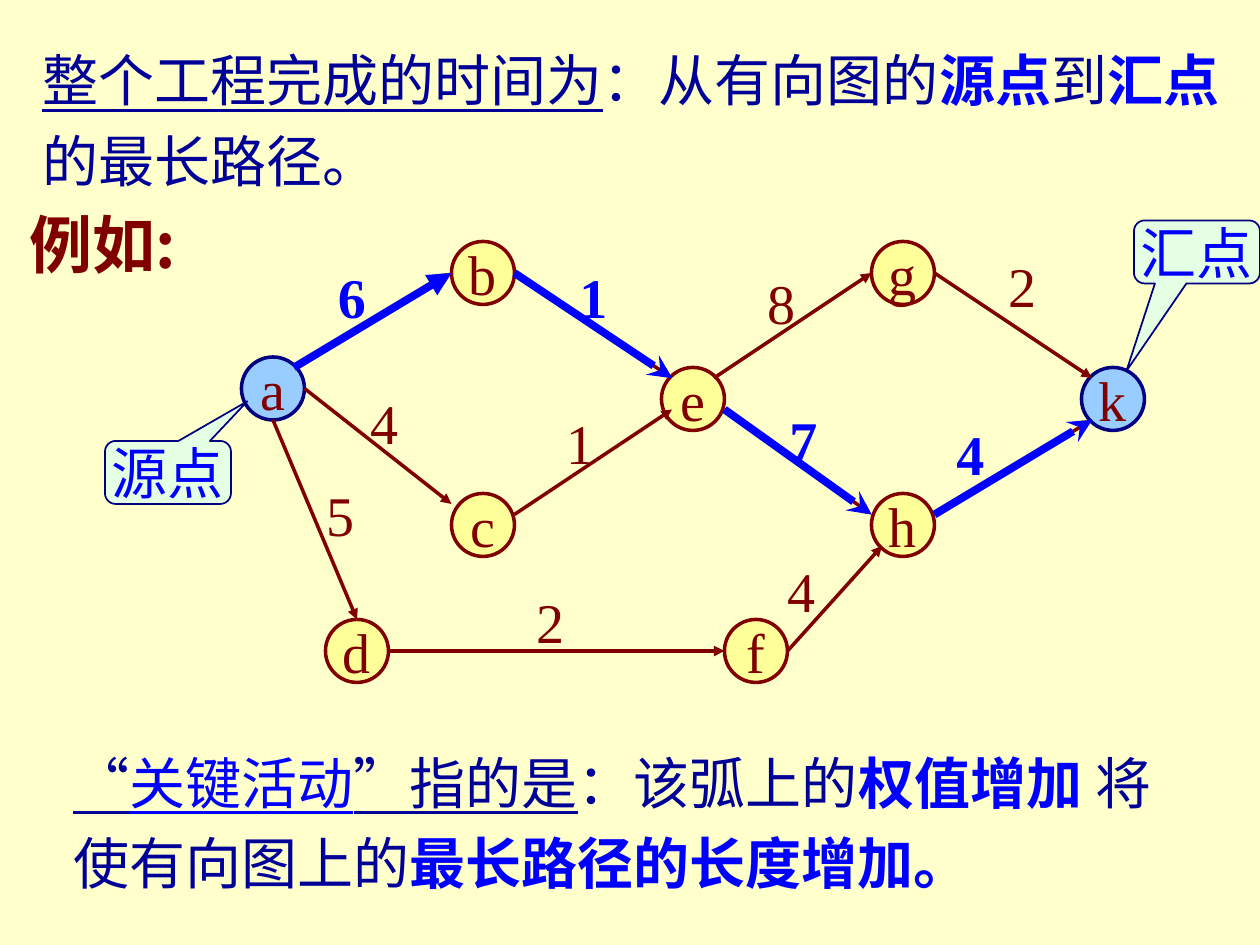
from dataclasses import dataclass
from typing import Any

import pptx
import pptx.chart.data
import pptx.dml.color
import pptx.enum.shapes
import pptx.enum.text
import pptx.oxml
import pptx.oxml.ns
import pptx.util
from lxml import etree

# Palette and fonts
MAROON, NAVY, INK, BLUE = "800000", "000080", "000099", "0000FF"
YELLOW, SKY, MINT, CREAM = "FFFF99", "99CCFF", "CCFFFF", "FFFFCC"
LATIN, HAN = "Times New Roman", "Noto Sans CJK SC"

# The slide is a grid of 120 columns and 90 rows
SLIDE_WIDTH, SLIDE_HEIGHT = pptx.util.Inches(10), pptx.util.Inches(7.5)
COLUMNS, ROWS = 120, 90
NODE_SIZE = 6

SHAPE = pptx.enum.shapes.MSO_SHAPE
ANCHOR = pptx.enum.text.MSO_ANCHOR
ALIGN = pptx.enum.text.PP_ALIGN
AUTO_SIZE = pptx.enum.text.MSO_AUTO_SIZE


@dataclass(frozen=True)
class Phrase:
    text: str
    color: str = INK
    bold: bool = False
    underline: bool = False
    size: int = 32
    font: str = LATIN


@dataclass(frozen=True)
class Event:
    name: str
    column: float
    row: float
    fill: str = YELLOW
    outline: str = MAROON


@dataclass(frozen=True)
class Activity:
    start: tuple[float, float]
    end: tuple[float, float]
    weight: str
    label: tuple[float, float]
    critical_head: str = ""


@dataclass(frozen=True)
class Callout:
    text: str
    column: float
    row: float
    pointer: tuple[float, float]


EVENTS = [
    Event("a", 23, 34, SKY, NAVY), Event("b", 43, 23), Event("c", 43, 47),
    Event("d", 31, 59), Event("e", 63, 35), Event("f", 69, 59),
    Event("g", 83, 23), Event("h", 83, 47), Event("k", 103, 35, SKY, NAVY),
]
ACTIVITIES = [
    Activity((28, 35), (43, 26), "6", (31, 24.4), "triangle"),
    Activity((29, 37), (43, 48), "4", (34.1, 36.4)),
    Activity((49, 49), (64, 39), "1", (52.8, 38.3)),
    Activity((49, 26), (64, 36), "1", (54, 24.4), "stealth"),
    Activity((68, 36), (83, 26), "8", (71.9, 25)),
    Activity((89, 26), (104, 36), "2", (94.9, 23.4)),
    Activity((89, 49), (104, 40), "4", (89.9, 39.4), "stealth"),
    Activity((69, 39), (83, 49), "7", (74, 38), "stealth"),
    Activity((26, 40), (34, 59), "5", (29.9, 45.2)),
    Activity((37, 62), (69, 62), "2", (49.9, 55.4)),
    Activity((75, 62), (84, 52), "4", (73.8, 52.4)),
]
CALLOUTS = [
    Callout("源点", 10, 42, (0.63, -1.13)),
    Callout("汇点", 108, 21, (-0.56, 1.89)),
]
DEFINITION = [
    Phrase("整个工程完成的时间为", underline=True), Phrase("：从有向图的"),
    Phrase("源点", BLUE, True), Phrase("到"), Phrase("汇点", BLUE, True),
    Phrase("的最长路径。"),
]
KEY_ACTIVITY = [
    Phrase("“", underline=True), Phrase("关键活动", BLUE, underline=True),
    Phrase("”指的是", underline=True), Phrase("：该弧上的"),
    Phrase("权值增加 ", BLUE, True), Phrase("将使有向图上的"),
    Phrase("最长路径的长度增加。", BLUE, True),
]


def rgb(color: str) -> pptx.dml.color.RGBColor:
    return pptx.dml.color.RGBColor.from_string(color)


def x(column: float) -> int:
    return round(SLIDE_WIDTH * column / COLUMNS)


def y(row: float) -> int:
    return round(SLIDE_HEIGHT * row / ROWS)


def area(column: float, row: float, width: float, height: float) -> tuple[int, ...]:
    return x(column), y(row), x(width), y(height)


def apply(target: Any, values: dict[str, Any]) -> None:
    for attribute, value in values.items():
        setattr(target, attribute, value)


def write(shape: Any, phrases: list[Phrase], wrap: bool = False,
          align: Any = ALIGN.LEFT, anchor: Any = ANCHOR.TOP, spacing: float = 1.0) -> None:
    apply(shape.text_frame, {
        "word_wrap": wrap, "auto_size": AUTO_SIZE.NONE, "vertical_anchor": anchor,
    })
    paragraph = shape.text_frame.paragraphs[0]
    apply(paragraph, {"alignment": align, "line_spacing": spacing})
    for phrase in phrases:
        run = paragraph.add_run()
        run.text = phrase.text
        apply(run.font, {
            "size": pptx.util.Pt(phrase.size), "name": phrase.font,
            "bold": phrase.bold, "underline": phrase.underline,
        })
        run.font.color.rgb = rgb(phrase.color)
        east_asian = etree.SubElement(run.font._element, pptx.oxml.ns.qn("a:ea"))
        east_asian.set("typeface", HAN)


def add_text(slide: Any, place: tuple[int, ...], phrases: list[Phrase], **layout: Any) -> None:
    write(slide.shapes.add_textbox(*place), phrases, **layout)


def add_outlined(slide: Any, kind: Any, place: tuple[int, ...], fill: str,
                 outline: str, width: float, phrase: Phrase) -> Any:
    shape = slide.shapes.add_shape(kind, *place)
    shape.shadow.inherit = False
    shape.fill.solid()
    shape.fill.fore_color.rgb = rgb(fill)
    shape.line.color.rgb = rgb(outline)
    shape.line.width = pptx.util.Pt(width)
    write(shape, [phrase], align=ALIGN.CENTER, anchor=ANCHOR.MIDDLE)
    return shape


def add_arrow(slide: Any, activity: Activity, color: str, width: float, head: str) -> None:
    (start_column, start_row), (end_column, end_row) = activity.start, activity.end
    arrow = slide.shapes.add_connector(
        pptx.enum.shapes.MSO_CONNECTOR.STRAIGHT,
        x(start_column), y(start_row), x(end_column), y(end_row))
    arrow.line.color.rgb = rgb(color)
    arrow.line.width = pptx.util.Pt(width)
    tail_end = etree.SubElement(arrow.line._get_or_add_ln(), pptx.oxml.ns.qn("a:tailEnd"))
    tail_end.set("type", head)
    etree.SubElement(arrow._element.spPr, pptx.oxml.ns.qn("a:effectLst"))


def add_callout(slide: Any, callout: Callout) -> None:
    bubble = add_outlined(
        slide, SHAPE.ROUNDED_RECTANGULAR_CALLOUT, area(callout.column, callout.row, 12, 6),
        MINT, NAVY, 1, Phrase(callout.text, BLUE))
    for index, value in enumerate((*callout.pointer, 0.17)):
        bubble.adjustments[index] = value
    fill_color = bubble._element.spPr.find(".//" + pptx.oxml.ns.qn("a:srgbClr"))
    etree.SubElement(fill_color, pptx.oxml.ns.qn("a:alpha")).set("val", "50000")


def main() -> None:
    deck = pptx.Presentation()
    apply(deck, {"slide_width": SLIDE_WIDTH, "slide_height": SLIDE_HEIGHT})
    slide = deck.slides.add_slide(deck.slide_layouts[5])
    slide.background.fill.solid()
    slide.background.fill.fore_color.rgb = rgb(CREAM)

    # Definition as the slide title
    title = slide.shapes.title
    apply(title, dict(zip(("left", "top", "width", "height"), area(2.8, 2.5, 115.2, 16.6))))
    write(title, DEFINITION, wrap=True, spacing=1.2)

    # Events of the network
    for event in EVENTS:
        add_outlined(slide, SHAPE.OVAL, area(event.column, event.row, NODE_SIZE, NODE_SIZE),
                     event.fill, event.outline, 2, Phrase(event.name, MAROON))

    # Activities, then the critical path over them
    for activity in ACTIVITIES:
        add_arrow(slide, activity, MAROON, 2, "triangle")
    for activity in ACTIVITIES:
        if activity.critical_head:
            add_arrow(slide, activity, BLUE, 4.5, activity.critical_head)

    # Weights
    for activity in ACTIVITIES:
        critical = bool(activity.critical_head)
        weight = Phrase(activity.weight, BLUE if critical else MAROON, critical)
        add_text(slide, area(*activity.label, 5, 7.7), [weight])

    # Example heading, key activity and callouts
    add_text(slide, area(1.6, 19, 19.4, 8.4), [Phrase("例如:", MAROON, True, size=36, font=HAN)])
    add_text(slide, area(5.8, 69.4, 110.2, 16.6), KEY_ACTIVITY, wrap=True, spacing=1.2)
    for callout in CALLOUTS:
        add_callout(slide, callout)

    deck.save("out.pptx")


if __name__ == "__main__":
    main()
